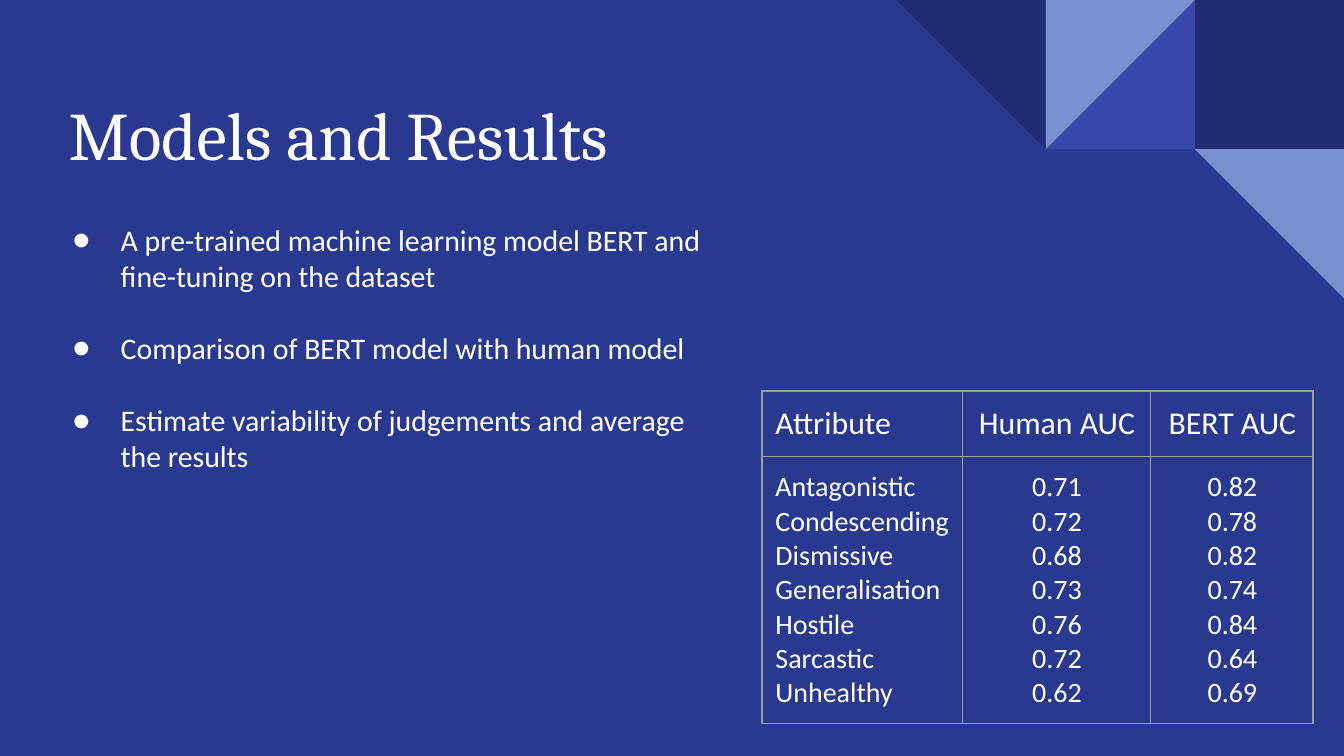
from typing import Any, NamedTuple

from lxml.etree import SubElement
from pptx import Presentation
from pptx.dml.color import RGBColor
from pptx.enum.shapes import MSO_SHAPE as Preset
from pptx.enum.text import MSO_ANCHOR as Anchor, MSO_AUTO_SIZE as AutoSize, PP_ALIGN as Align
from pptx.oxml.ns import qn
from pptx.util import Inches, Pt

NAVY, DARK, BRIGHT, PALE = "2A3990", "212D74", "3949AB", "7890CD"
WHITE, GREY = "FFFFFF", "9E9E9E"
SLIDE_WIDTH = 10
SLIDE_HEIGHT = SLIDE_WIDTH * 9 / 16
TILE = 1.11
MARGINS = {
    "margin_left": Inches(0.1),
    "margin_right": Inches(0.1),
    "margin_top": Inches(0.1),
    "margin_bottom": Inches(0.1),
}
CELL_FORMAT = MARGINS | {"margin_right": Inches(0.09)}
FRAME_FORMAT = MARGINS | {
    "word_wrap": True,
    "auto_size": AutoSize.NONE,
    "vertical_anchor": Anchor.TOP,
}


class Tile(NamedTuple):
    column: int
    row: int
    preset: Preset
    rotation: int
    color: str


class Column(NamedTuple):
    heading: str
    width: float
    align: Align
    values: list[str]


TILES = [
    Tile(2, 0, Preset.RECTANGLE, 0, DARK),
    Tile(1, 0, Preset.RIGHT_TRIANGLE, 270, BRIGHT),
    Tile(1, 0, Preset.RIGHT_TRIANGLE, 90, PALE),
    Tile(0, 0, Preset.RIGHT_TRIANGLE, 180, DARK),
    Tile(2, 1, Preset.RIGHT_TRIANGLE, 180, PALE),
]
BULLETS = [
    "A pre-trained machine learning model BERT and fine-tuning on the dataset",
    "Comparison of BERT model with human model",
    "Estimate variability of judgements and average the results",
]
COLUMNS = [
    Column("Attribute", 1.49, Align.LEFT, ["Antagonistic", "Condescending", "Dismissive",
                                           "Generalisation", "Hostile", "Sarcastic", "Unhealthy"]),
    Column("Human AUC", 1.4, Align.CENTER, ["0.71", "0.72", "0.68", "0.73", "0.76", "0.72", "0.62"]),
    Column("BERT AUC", 1.21, Align.CENTER, ["0.82", "0.78", "0.82", "0.74", "0.84", "0.64", "0.69"]),
]


def apply_format(target: Any, values: dict[str, Any]) -> None:
    for name, value in values.items():
        setattr(target, name, value)


def set_fill(fill: Any, color: str) -> None:
    fill.solid()
    fill.fore_color.rgb = RGBColor.from_string(color)


def write_lines(frame: Any, lines: list[str], font_name: str, size: float,
                align: Align = Align.LEFT, space_after: float = 0) -> None:
    for index, line in enumerate(lines):
        paragraph = frame.paragraphs[0] if index == 0 else frame.add_paragraph()
        apply_format(paragraph, {"alignment": align, "space_before": Pt(0),
                                 "space_after": Pt(space_after), "line_spacing": 1.0})
        run = paragraph.add_run()
        run.text = line
        apply_format(run.font, {"name": font_name, "size": Pt(size)})
        set_fill(run.font.fill, WHITE)


def draw_tile(slide: Any, tile: Tile) -> None:
    left = SLIDE_WIDTH - (3 - tile.column) * TILE
    shape = slide.shapes.add_shape(tile.preset, Inches(left), Inches(tile.row * TILE),
                                   Inches(TILE), Inches(TILE))
    apply_format(shape, {"rotation": tile.rotation})
    shape.shadow.inherit = False
    set_fill(shape.fill, tile.color)
    shape.line.fill.background()


def draw_title(slide: Any, text: str) -> None:
    title = slide.shapes.title
    apply_format(title, {"left": Inches(0.41), "top": Inches(0.59),
                         "width": Inches(4.75), "height": Inches(0.73)})
    apply_format(title.text_frame, FRAME_FORMAT)
    write_lines(title.text_frame, [text], "Cambria", 36.4)


def draw_bullets(slide: Any, lines: list[str]) -> None:
    box = slide.shapes.add_textbox(Inches(0.3), Inches(1.55), Inches(5.08), Inches(2.31))
    apply_format(box.text_frame, FRAME_FORMAT)
    write_lines(box.text_frame, lines, "Calibri", 16, space_after=19.5)
    for paragraph in box.text_frame.paragraphs:
        properties = paragraph._p.get_or_add_pPr()
        properties.set("marL", str(Inches(0.5)))
        properties.set("indent", str(Inches(-0.36)))
        bullet_color = SubElement(properties, qn("a:buClr"))
        SubElement(bullet_color, qn("a:srgbClr"), val=WHITE)
        SubElement(properties, qn("a:buFont"), typeface="Calibri")
        SubElement(properties, qn("a:buChar"), char="●")


def style_cell(cell: Any) -> None:
    apply_format(cell, CELL_FORMAT)
    properties = cell._tc.get_or_add_tcPr()
    for edge in ("a:lnL", "a:lnR", "a:lnT", "a:lnB"):
        border = SubElement(properties, qn(edge), w=str(Pt(0.75)))
        border_fill = SubElement(border, qn("a:solidFill"))
        SubElement(border_fill, qn("a:srgbClr"), val=GREY)
    cell.fill.background()


def draw_table(slide: Any, columns: list[Column], row_heights: list[float]) -> None:
    table = slide.shapes.add_table(
        len(row_heights), len(columns), Inches(5.67), Inches(2.91),
        Inches(sum(column.width for column in columns)), Inches(sum(row_heights))).table
    apply_format(table, {"first_row": False, "horz_banding": False})
    for row, height in zip(table.rows, row_heights):
        row.height = Inches(height)
    for index, column in enumerate(columns):
        table.columns[index].width = Inches(column.width)
        for row_index, (lines, size) in enumerate([([column.heading], 17), (column.values, 15)]):
            cell = table.cell(row_index, index)
            style_cell(cell)
            write_lines(cell.text_frame, lines, "Calibri", size, column.align)


def main() -> None:
    presentation = Presentation()
    apply_format(presentation, {"slide_width": Inches(SLIDE_WIDTH),
                                "slide_height": Inches(SLIDE_HEIGHT)})
    slide = presentation.slides.add_slide(presentation.slide_layouts[5])
    set_fill(slide.background.fill, NAVY)
    for tile in TILES:
        draw_tile(slide, tile)
    draw_title(slide, "Models and Results")
    draw_bullets(slide, BULLETS)
    draw_table(slide, COLUMNS, [0.48, 1.98])
    presentation.save("out.pptx")


if __name__ == "__main__":
    main()
